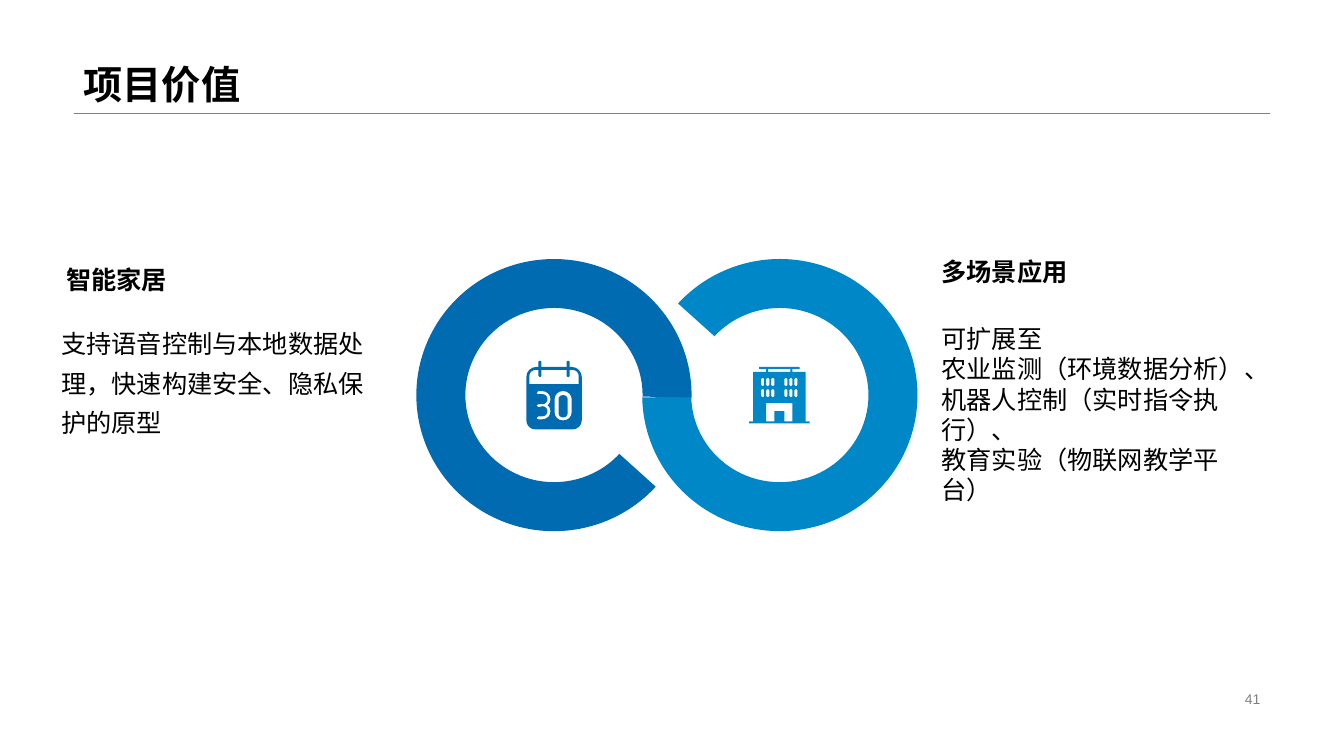
import math
from dataclasses import dataclass

from lxml import etree
from pptx import Presentation
from pptx.dml.color import RGBColor
from pptx.enum import shapes, text
from pptx.oxml.ns import qn
from pptx.util import Inches, Pt

Point = tuple[float, float]
Outline = list[Point]
Box = tuple[float, float, float, float]


@dataclass(frozen=True)
class Theme:
    dark_blue: str = "006BB1"
    light_blue: str = "0087C7"
    black: str = "000000"
    grey: str = "808080"
    heading_font: str = "Arial"
    body_font: str = "Noto Sans CJK SC"
    title_size: int = 28
    text_size: int = 18
    number_size: int = 10


@dataclass(frozen=True)
class Label:
    box: Box
    lines: tuple[str, ...]
    font: str
    size: int
    color: str
    bold: bool = False
    spacing: float = 1.0
    align: text.PP_ALIGN = text.PP_ALIGN.LEFT
    anchor: text.MSO_ANCHOR = text.MSO_ANCHOR.TOP


@dataclass(frozen=True)
class Ring:
    box: Box
    start: float
    end: float
    color: str


T = Theme()
RING_THICKNESS = 0.18  # share of the ring's height

TITLE = Label((0.73, 0, 11.87, 1.12), ("项目价值",), T.heading_font, T.title_size,
              T.black, bold=True, spacing=0.9, anchor=text.MSO_ANCHOR.BOTTOM)
LABELS = [
    Label((9.42, 6.82, 3.18, 0.23), ("41",), T.heading_font, T.number_size, T.grey,
          align=text.PP_ALIGN.RIGHT, anchor=text.MSO_ANCHOR.MIDDLE),
    Label((0.51, 3.12, 3.42, 0.61),
          ("支持语音控制与本地数据处理，快速构建安全、隐私保护的原型",),
          T.body_font, T.text_size, T.black, spacing=1.3),
    Label((0.56, 2.55, 3.42, 0.42), ("智能家居",), T.heading_font, T.text_size,
          T.black, bold=True, anchor=text.MSO_ANCHOR.BOTTOM),
    Label((9.24, 3.16, 3.2, 2.32),
          ("可扩展至", "农业监测（环境数据分析）、", "机器人控制（实时指令执行）、",
           "教育实验（物联网教学平台）"),
          T.body_font, T.text_size, T.black),
    Label((9.24, 2.47, 3.2, 0.42), ("多场景应用",), T.heading_font, T.text_size,
          T.black, bold=True, anchor=text.MSO_ANCHOR.BOTTOM),
]
RINGS = [Ring((6.37, 2.57, 2.73, 2.7), 222, 179, T.light_blue),
         Ring((4.13, 2.57, 2.73, 2.7), 42, 1, T.dark_blue)]


# Outlines of the icons
def arc(cx: float, cy: float, r: float, start: float, end: float) -> Outline:
    if r == 0:
        return [(cx, cy)]
    steps = 1 if r <= 0.02 else math.ceil(abs(end - start) / 25)
    angles = [math.radians(start + (end - start) * i / steps) for i in range(steps + 1)]
    return [(cx + r * math.cos(a), cy + r * math.sin(a)) for a in angles]


def rounded(x: float, y: float, w: float, h: float, top: float, bottom: float) -> Outline:
    corners = [(x + w - bottom, y + h - bottom, bottom, 0), (x + bottom, y + h - bottom, bottom, 90),
               (x + top, y + top, top, 180), (x + w - top, y + top, top, 270)]
    return [pt for cx, cy, r, a in corners for pt in arc(cx, cy, r, a, a + 90)]


def digit_three() -> Outline:
    x, top, low = 5.38, 3.96, 4.08
    return [*arc(x, top, 0.08, -90, 50), *arc(x, low, 0.08, -50, 90),
            (5.34, 4.16), (5.32, 4.15), (5.34, 4.13),
            *arc(x, low, 0.05, 90, -90), (5.34, 4.04), (5.32, 4.02), (5.34, 4.01),
            *arc(x, top, 0.05, 90, -90), (5.34, 3.91), (5.32, 3.9), (5.34, 3.88)]


def calendar_page() -> list[Outline]:
    return [rounded(5.22, 3.64, 0.55, 0.62, 0.1, 0.09),
            rounded(5.25, 3.67, 0.49, 0.14, 0.06, 0),
            rounded(5.5, 3.88, 0.17, 0.29, 0.08, 0.08),
            rounded(5.54, 3.92, 0.09, 0.22, 0.04, 0.04),
            digit_three()]


def calendar_tabs() -> list[Outline]:
    return [rounded(x, 3.58, 0.03, 0.16, 0.01, 0.01) for x in (5.34, 5.62)]


def building() -> list[Outline]:
    facade = [(7.47, 3.69), (7.99, 3.69), (7.99, 4.18), (8.03, 4.18),
              (8.03, 4.2), (7.43, 4.2), (7.43, 4.18), (7.47, 4.18)]
    door = [(7.6, 4), (7.86, 4), (7.86, 4.18), (7.78, 4.18),
            (7.78, 4.08), (7.68, 4.08), (7.68, 4.18), (7.6, 4.18)]
    windows = [rounded(left + 0.05 * col, y, 0.03, 0.08, 0.01, 0.01)
               for y in (3.75, 3.86) for left in (7.55, 7.78) for col in range(3)]
    posts = [rounded(x, 3.66, 0.02, 0.03, 0, 0) for x in (7.6, 7.84)]
    return [facade, door, *windows, *posts, rounded(7.53, 3.64, 0.4, 0.02, 0, 0)]


# Drawing
def paint(sp, color: str) -> None:
    sp.shadow.inherit = False
    sp.fill.solid()
    sp.fill.fore_color.rgb = RGBColor.from_string(color)
    sp.line.fill.background()


def draw_ring(slide, ring: Ring) -> None:
    sp = slide.shapes.add_shape(shapes.MSO_SHAPE.BLOCK_ARC, *map(Inches, ring.box))
    # Angles are stored in 60000ths of a degree, adjustments in 100000ths
    sp.adjustments[0] = ring.start * 0.6
    sp.adjustments[1] = ring.end * 0.6
    sp.adjustments[2] = RING_THICKNESS
    paint(sp, ring.color)


def draw_icon(slide, outlines: list[Outline], color: str) -> None:
    paths = [[(Inches(x), Inches(y)) for x, y in outline] for outline in outlines]
    builder = slide.shapes.build_freeform(*paths[0][0])
    for i, points in enumerate(paths):
        if i:
            builder.move_to(*points[0])
        builder.add_line_segments(points[1:], close=True)
    paint(builder.convert_to_shape(), color)


def write_label(sp, label: Label) -> None:
    sp.left, sp.top, sp.width, sp.height = map(Inches, label.box)
    tf = sp.text_frame
    tf.text = "\n".join(label.lines)
    tf.word_wrap = True
    tf.auto_size = text.MSO_AUTO_SIZE.NONE
    tf.vertical_anchor = label.anchor
    tf.margin_left = tf.margin_right = Inches(0.1)
    tf.margin_top = tf.margin_bottom = Inches(0.05)
    for p in tf.paragraphs:
        p.alignment = label.align
        p.line_spacing = label.spacing
        p.font.size = Pt(label.size)
        p.font.bold = label.bold
        p.font.color.rgb = RGBColor.from_string(label.color)
        p.font.name = label.font
        # East Asian glyphs take their own typeface
        props = p._p.pPr.find(qn("a:defRPr"))
        etree.SubElement(props, qn("a:ea")).set("typeface", T.body_font)


def draw_rule(slide) -> None:
    line = slide.shapes.add_connector(shapes.MSO_CONNECTOR.STRAIGHT, Inches(0.73),
                                      Inches(1.12), Inches(12.6), Inches(1.12))
    line.line.color.rgb = RGBColor.from_string(T.grey)
    line.line.width = Pt(0.25)
    etree.SubElement(line._element.spPr, qn("a:effectLst"))


def main() -> None:
    prs = Presentation()
    prs.slide_width, prs.slide_height = Inches(13.33), Inches(7.5)
    slide = prs.slides.add_slide(prs.slide_layouts[5])

    # Title and rule
    write_label(slide.shapes.title, TITLE)
    draw_rule(slide)

    # Interlocked rings and their icons
    for ring in RINGS:
        draw_ring(slide, ring)
    draw_icon(slide, calendar_page(), T.dark_blue)
    draw_icon(slide, calendar_tabs(), T.dark_blue)
    draw_icon(slide, building(), T.light_blue)

    # Texts and page number
    for label in LABELS:
        write_label(slide.shapes.add_textbox(0, 0, 0, 0), label)

    prs.save("out.pptx")


if __name__ == "__main__":
    main()
